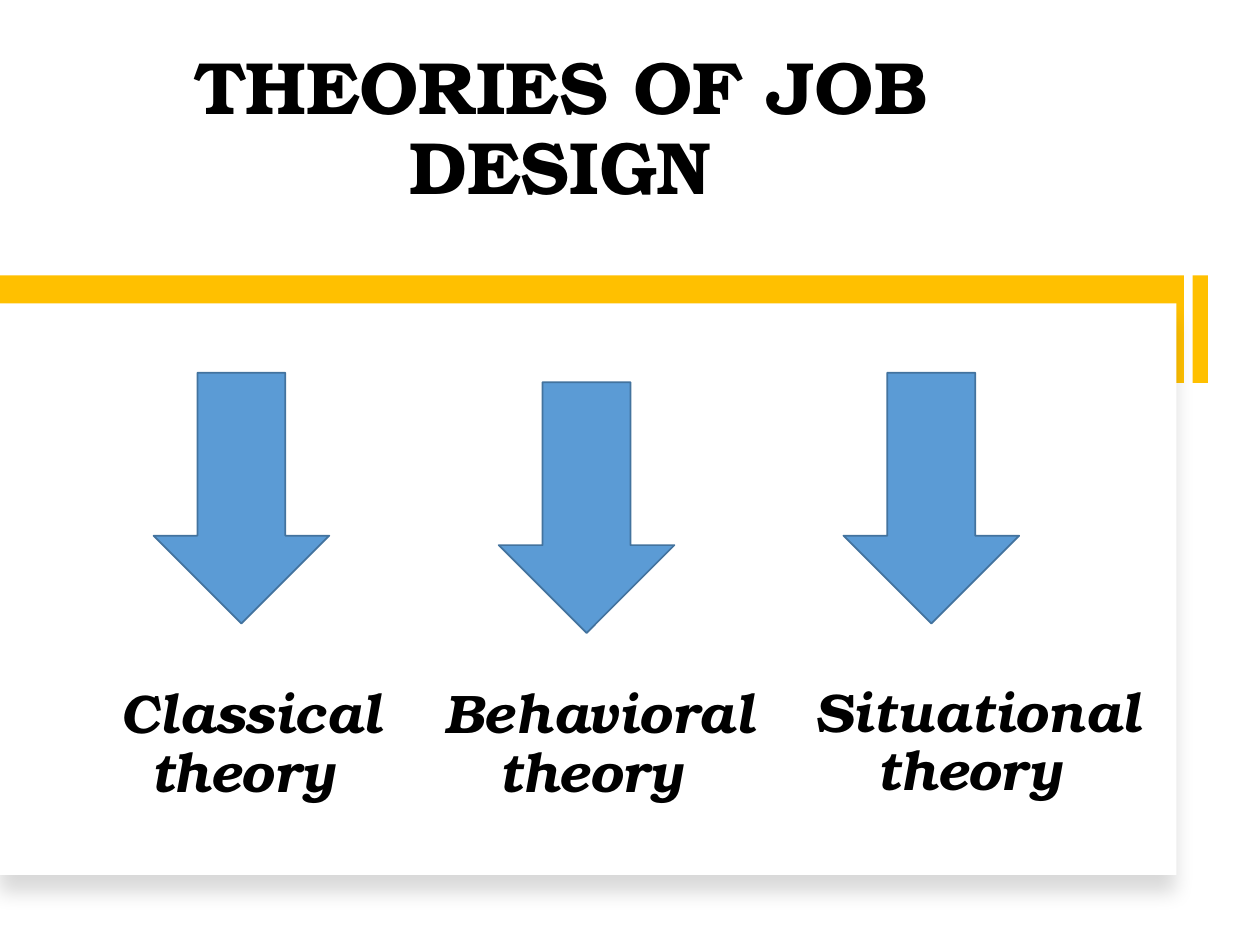
from dataclasses import dataclass

from lxml import etree
from pptx import Presentation
from pptx.dml.color import RGBColor
from pptx.enum.shapes import MSO_SHAPE
from pptx.enum.text import MSO_ANCHOR, MSO_AUTO_SIZE, PP_ALIGN
from pptx.oxml import parse_xml
from pptx.oxml.ns import nsdecls
from pptx.util import Pt

RECTANGLE = MSO_SHAPE.RECTANGLE
DOWN_ARROW = MSO_SHAPE.DOWN_ARROW
TOP = MSO_ANCHOR.TOP
BOTTOM = MSO_ANCHOR.BOTTOM
CENTER = PP_ALIGN.CENTER
NO_AUTO_SIZE = MSO_AUTO_SIZE.NONE
TITLE_ONLY = 5


@dataclass(frozen=True)
class Theme:
    font: str = "TeX Gyre Bonum"
    title_size: float = 42.3
    label_size: float = 31
    text: str = "000000"
    paper: str = "FFFFFF"
    accent: str = "FFC000"
    arrow: str = "5B9BD5"
    arrow_line: str = "43739E"


THEME = Theme()

# label, label (left, top, width), arrow (left, top)
THEORIES = [
    ("Classical theory ", (48.2, 388.8, 190.8), (87.8, 213)),
    ("Behavioral theory ", (245.5, 388.8, 194.4), (285, 218.4)),
    ("Situational theory ", (455.8, 388, 205.9), (482, 213)),
]


def place(shape, left, top, width, height):
    shape.left, shape.top = Pt(left), Pt(top)
    shape.width, shape.height = Pt(width), Pt(height)


def write(box, text, *, size, italic=False, anchor=TOP, space_after=0):
    frame = box.text_frame
    frame.word_wrap = True
    frame.auto_size = NO_AUTO_SIZE
    frame.vertical_anchor = anchor
    para = frame.paragraphs[0]
    para.alignment = CENTER
    para.line_spacing = 0.9
    para.space_before = Pt(0)
    para.space_after = Pt(space_after)
    span = para.add_run()
    span.text = text
    font = span.font
    font.name = THEME.font
    font.size = Pt(size)
    font.bold = True
    font.italic = italic
    font.color.rgb = RGBColor.from_string(THEME.text)


def add_filled(page, kind, bounds, fill, line=None):
    shape = page.shapes.add_shape(kind, *map(Pt, bounds))
    shape.shadow.inherit = False
    shape.fill.solid()
    shape.fill.fore_color.rgb = RGBColor.from_string(fill)
    if line:
        shape.line.color.rgb = RGBColor.from_string(line)
        shape.line.width = Pt(1)
    else:
        shape.line.fill.background()
    return shape


def add_drop_shadow(shape, blur, distance, opacity):
    """Cast a soft black shadow straight down."""
    effects = shape._element.spPr.find(
        "{http://schemas.openxmlformats.org/drawingml/2006/main}effectLst")
    shadow = parse_xml(
        f'<a:outerShdw {nsdecls("a")} blurRad="{Pt(blur)}" dist="{Pt(distance)}" '
        'dir="5400000" algn="t" rotWithShape="0"/>')
    color = etree.SubElement(shadow, shadow.tag.replace("outerShdw", "srgbClr"), val="000000")
    etree.SubElement(color, shadow.tag.replace("outerShdw", "alpha"), val=str(opacity * 1000))
    effects.append(shadow)


def add_frame(page):
    """Draw the accent bars and the white panel that overlaps them."""
    add_filled(page, RECTANGLE, (681.5, 157.4, 8.8, 61.4), THEME.accent)
    add_filled(page, RECTANGLE, (0, 157.4, 676.5, 61.4), THEME.accent)
    panel = add_filled(page, RECTANGLE, (0, 173.4, 672.2, 326.6), THEME.paper)
    add_drop_shadow(panel, blur=11, distance=10, opacity=15)


def add_theory(page, label, label_at, arrow_at):
    add_filled(page, DOWN_ARROW, (*arrow_at, 100.4, 143.3), THEME.arrow, THEME.arrow_line)
    left, top, width = label_at
    box = page.shapes.add_textbox(Pt(left), Pt(top), Pt(width), Pt(78.5))
    write(box, label, size=THEME.label_size, italic=True, space_after=6)


def main():
    deck = Presentation()
    deck.slide_width, deck.slide_height = Pt(720), Pt(540)
    page = deck.slides.add_slide(deck.slide_layouts[TITLE_ONLY])
    title = page.shapes.title
    place(title, 47.5, 30.2, 545.8, 93.6)
    write(title, "THEORIES OF JOB DESIGN", size=THEME.title_size, anchor=BOTTOM)
    add_frame(page)
    for theory in THEORIES:
        add_theory(page, *theory)
    deck.save("out.pptx")


if __name__ == "__main__":
    main()
